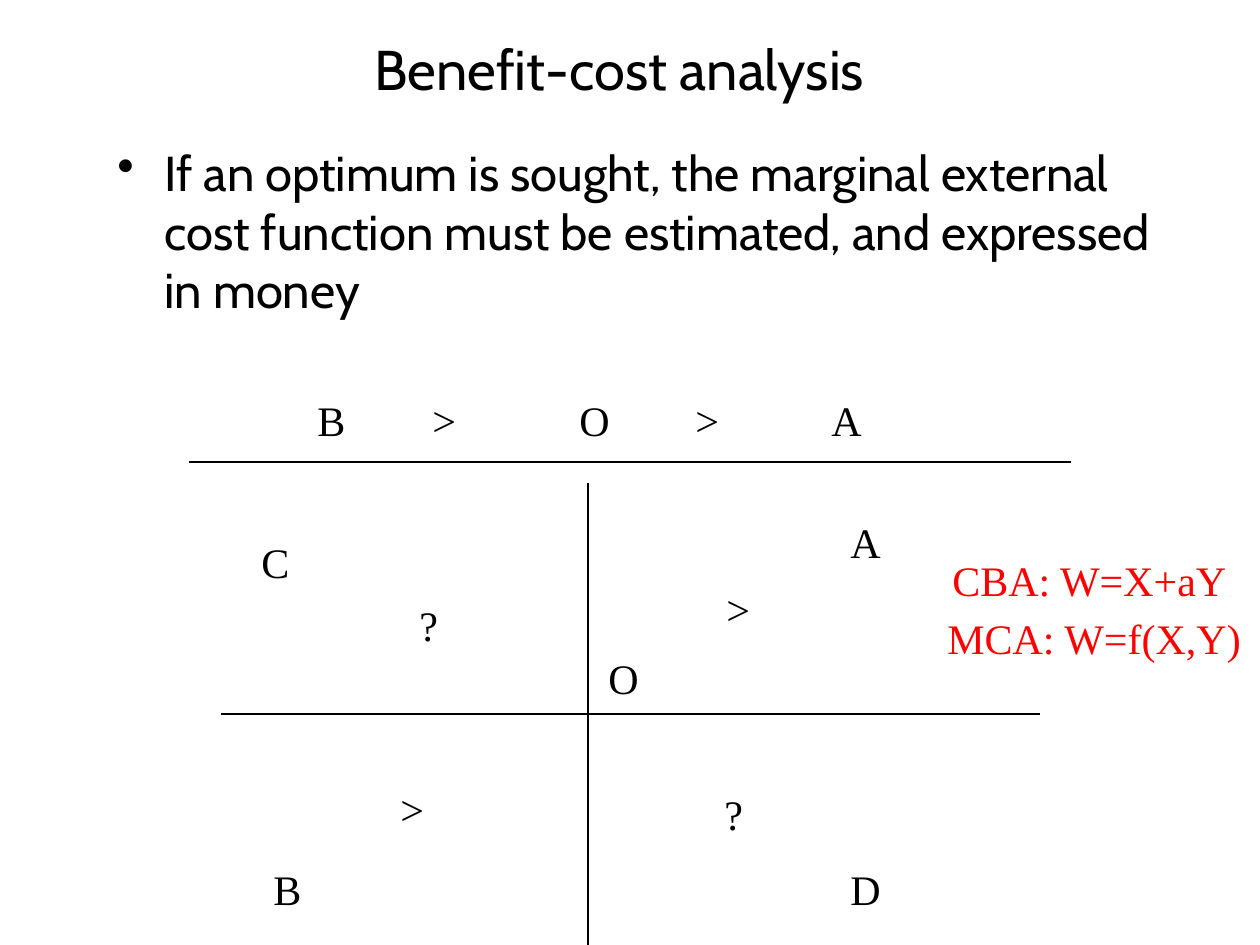
from lxml import etree
from pptx import Presentation
from pptx import util as u
from pptx.dml.color import RGBColor
from pptx.enum import shapes, text
from pptx.oxml.ns import qn

SCALE = 914400 / 126
COLORS = {"ink": "000000", "red": "FF0000"}
HEAD, SERIF = "Cabin", "Times New Roman"


def px(n):
    return u.Emu(round(n * SCALE))


def write(box, words, face, size, tint="ink", wrap=True):
    shape = slide.shapes.add_textbox(*map(px, box))
    frame = shape.text_frame
    frame.word_wrap = wrap
    para = frame.paragraphs[0]
    run = para.add_run()
    run.text = words
    look = {"name": face, "size": u.Pt(size)}
    for key, value in look.items():
        setattr(run.font, key, value)
    run.font.color.rgb = RGBColor.from_string(COLORS[tint])
    return frame, para


deck = Presentation()
deck.slide_width, deck.slide_height = px(1260), px(945)
slide = deck.slides.add_slide(deck.slide_layouts[6])

frame, para = write((84, 0, 1071, 136), "Benefit-cost analysis", HEAD, 32)
frame.vertical_anchor = text.MSO_ANCHOR.MIDDLE
para.alignment = text.PP_ALIGN.CENTER

claim = ("If an optimum is sought, the marginal external cost function "
         "must be estimated, and expressed in money")
frame, para = write((105, 136, 1071, 630), claim, HEAD, 28)
props = para._p.get_or_add_pPr()
indent = px(47)
props.set("marL", str(indent))
props.set("indent", str(-indent))
etree.SubElement(props, qn("a:buChar")).set("char", "•")

rules = [(189, 462, 1071, 462), (221, 714, 1040, 714), (588, 483, 588, 945)]
for ends in rules:
    rule = slide.shapes.add_connector(shapes.MSO_CONNECTOR.STRAIGHT, *map(px, ends))
    rule.line.width = u.Pt(0.75)
    rule.line.color.rgb = RGBColor.from_string(COLORS["ink"])
    etree.SubElement(rule._element.spPr, qn("a:effectLst"))

widths = {"A": 57, "O": 57, "D": 57, "B": 54, "C": 54, ">": 49, "?": 44}
ranks = [(305, "B"), (420, ">"), (567, "O"), (683, ">"), (819, "A")]
marks = [(x, 388, sign) for x, sign in ranks] + [
    (596, 646, "O"), (838, 510, "A"), (261, 857, "B"), (249, 530, "C"),
    (838, 857, "D"), (714, 577, ">"), (388, 777, ">"), (407, 593, "?"),
    (712, 782, "?"),
]
for x, y, sign in marks:
    write((x, y, widths[sign], 63), sign, SERIF, 24, wrap=False)

sums = [((940, 548, 305, 63), "CBA: W=X+aY"), ((935, 606, 325, 63), "MCA: W=f(X,Y)")]
for box, words in sums:
    write(box, words, SERIF, 24, "red")

deck.save("out.pptx")
